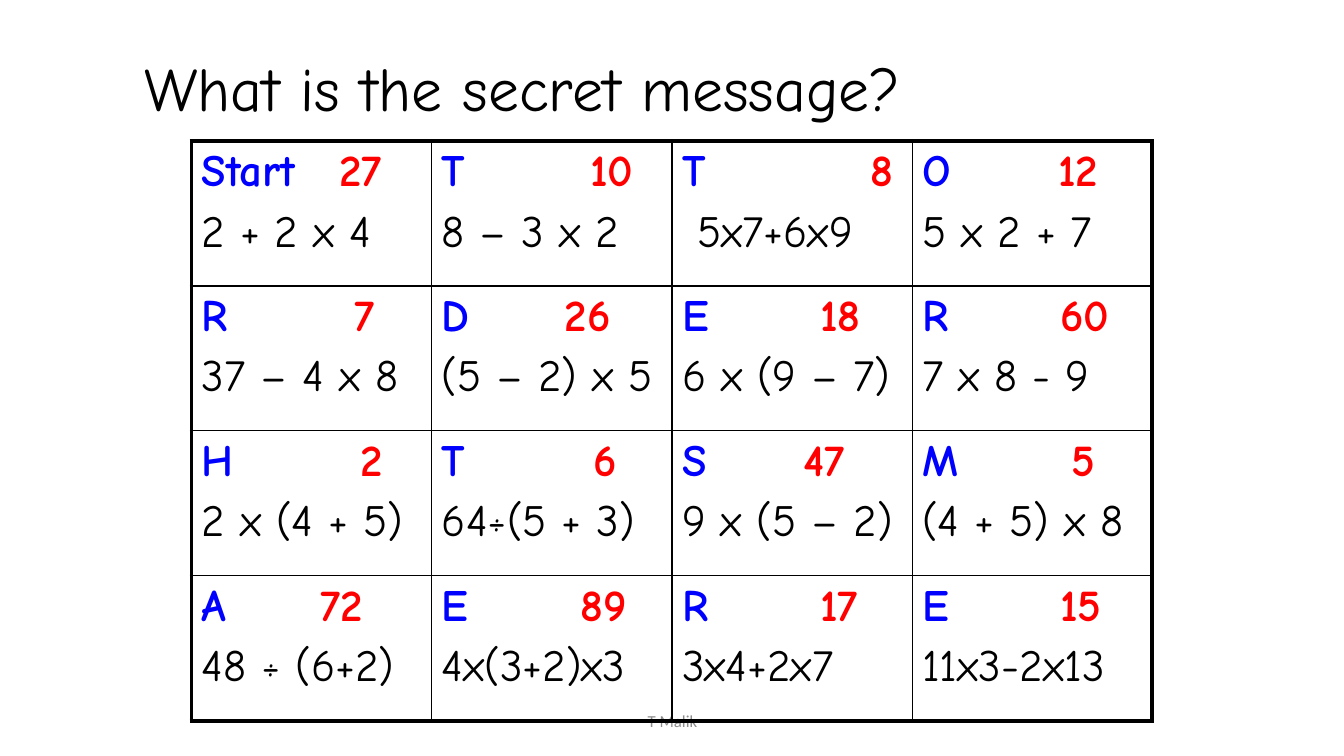
from lxml.etree import SubElement
from pptx import Presentation
from pptx.dml.color import RGBColor
from pptx.enum.text import MSO_ANCHOR, PP_ALIGN
from pptx.oxml.ns import qn
from pptx.util import Inches, Pt

FONT = "Comic Neue"
BLACK, BLUE, RED, GREY = "000000", "0000FF", "FF0000", "8C8C8C"

# letter, answer, distance of the answer from the letter, next sum
CARDS = [
    [("Start", "27", 1.37, "2 + 2 x 4"), ("T", "10", 1.47, "8 – 3 x 2"),
     ("T", "8", 1.87, " 5x7+6x9"), ("O", "12", 1.35, "5 x 2 + 7")],
    [("R", "7", 1.52, "37 – 4 x 8"), ("D", "26", 1.22, "(5 – 2) x 5"),
     ("E", "18", 1.37, "6 x (9 – 7)"), ("R", "60", 1.37, "7 x 8 - 9")],
    [("H", "2", 1.58, "2 x (4 + 5)"), ("T", "6", 1.5, "64÷(5 + 3)"),
     ("S", "47", 1.2, "9 x (5 – 2)"), ("M", "5", 1.48, "(4 + 5) x 8")],
    [("A", "72", 1.18, "48 ÷ (6+2)"), ("E", "89", 1.38, "4x(3+2)x3"),
     ("R", "17", 1.37, "3x4+2x7"), ("E", "15", 1.37, "11x3-2x13")],
]


def add_run(p, text, size=32, color=BLACK, bold=False, font=FONT):
    r = p.add_run()
    r.text = text
    r.font.name, r.font.size, r.font.bold = font, Pt(size), bold
    r.font.color.rgb = RGBColor.from_string(color)


def place(shape, left, top, width, height):
    shape.left, shape.top = Inches(left), Inches(top)
    shape.width, shape.height = Inches(width), Inches(height)


def add_title(s, text):
    title = s.shapes.title
    place(title, 1.33, 0.28, 12, 1.25)
    tf = title.text_frame
    tf.word_wrap = True
    tf.vertical_anchor = MSO_ANCHOR.MIDDLE
    p = tf.paragraphs[0]
    p.alignment, p.line_spacing = PP_ALIGN.LEFT, 0.9
    add_run(p, text, size=44)


def add_footer(s, text):
    tf = s.shapes.add_textbox(Inches(4.42), Inches(6.95), Inches(4.5), Inches(0.4)).text_frame
    tf.word_wrap = True
    tf.vertical_anchor = MSO_ANCHOR.MIDDLE
    p = tf.paragraphs[0]
    p.alignment = PP_ALIGN.CENTER
    add_run(p, text, size=12, color=GREY, font="Calibri")


def add_tab_stop(p, position):
    tabs = SubElement(p._p.get_or_add_pPr(), qn("a:tabLst"))
    SubElement(tabs, qn("a:tab"), pos=str(Inches(position)), algn="l")


def set_borders(cell, outer_sides):
    tc_pr = cell._tc.get_or_add_tcPr()
    for side in "LRTB":
        width = Pt(3 if side in outer_sides else 1)
        ln = SubElement(tc_pr, qn(f"a:ln{side}"), w=str(width))
        SubElement(SubElement(ln, qn("a:solidFill")), qn("a:srgbClr"), val=BLACK)


def fill_card(cell, letter, answer, offset, next_sum):
    tf = cell.text_frame
    p = tf.paragraphs[0]
    add_tab_stop(p, offset)
    add_run(p, letter + "\t", color=BLUE, bold=True)
    add_run(p, answer, color=RED, bold=True)
    p = tf.add_paragraph()
    p.space_before = Pt(6.4)
    add_run(p, next_sum)


def add_cards(s, cards):
    n_rows, n_cols = len(cards), len(cards[0])
    table = s.shapes.add_table(n_rows, n_cols, Inches(1.9), Inches(1.4),
                               Inches(9.53), Inches(5.75)).table
    table.first_row = table.horz_banding = False
    for i, row in enumerate(cards):
        for j, card in enumerate(row):
            cell = table.cell(i, j)
            edges = {"L": j == 0, "R": j == n_cols - 1, "T": i == 0, "B": i == n_rows - 1}
            set_borders(cell, [side for side, outer in edges.items() if outer])
            cell.fill.background()
            fill_card(cell, *card)


def main():
    prs = Presentation()
    prs.slide_width, prs.slide_height = Inches(13.33), Inches(7.5)
    s = prs.slides.add_slide(prs.slide_layouts[5])
    add_title(s, "What is the secret message?")
    add_footer(s, "T Malik")
    add_cards(s, CARDS)
    prs.save("out.pptx")


if __name__ == "__main__":
    main()
